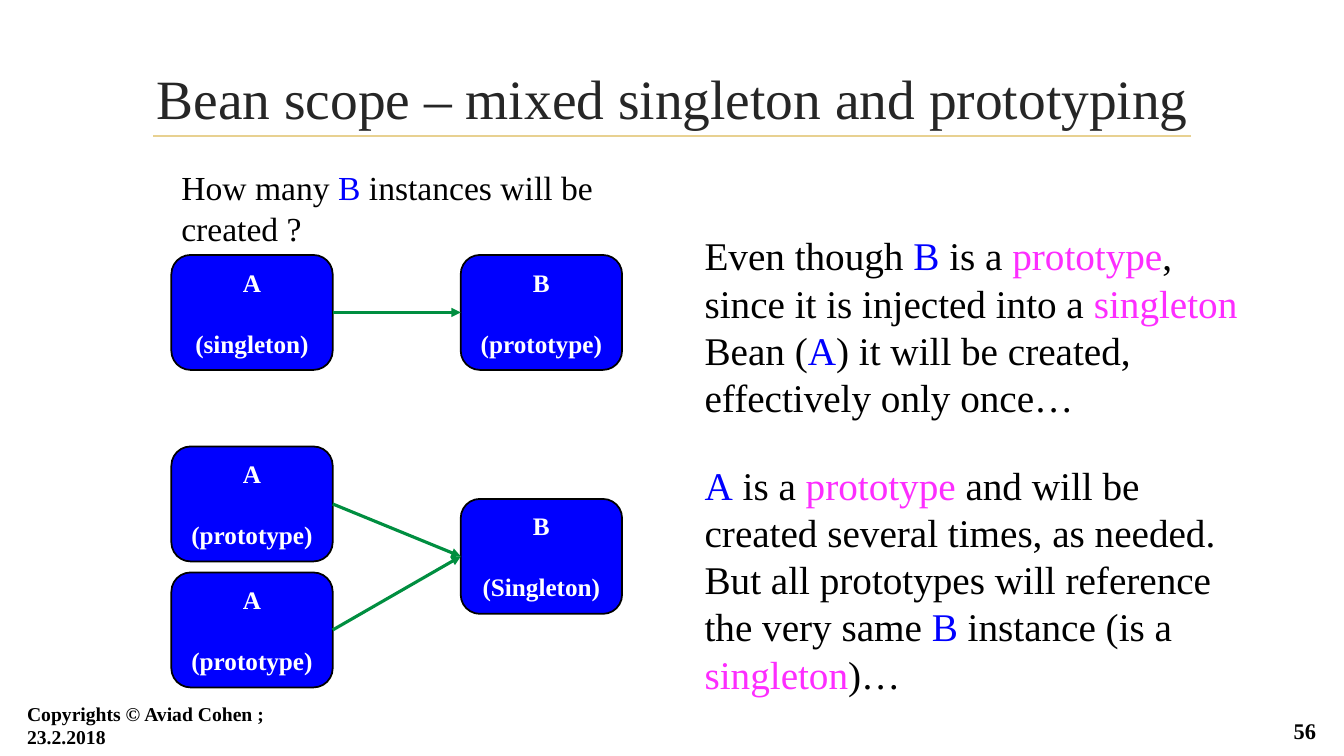
from lxml import etree
from pptx import Presentation
from pptx.dml.color import RGBColor
from pptx.enum.shapes import MSO_CONNECTOR, MSO_SHAPE
from pptx.enum.text import MSO_ANCHOR, MSO_AUTO_SIZE, PP_ALIGN
from pptx.oxml.ns import qn
from pptx.util import Inches, Pt

BLACK = RGBColor(0x00, 0x00, 0x00)
WHITE = RGBColor(0xFF, 0xFF, 0xFF)
BLUE = RGBColor(0x00, 0x00, 0xFF)
PINK = RGBColor(0xFD, 0x2D, 0xFF)
GREEN = RGBColor(0x00, 0x8E, 0x40)
GOLD = RGBColor(0xE8, 0xD1, 0x91)
CHARCOAL = RGBColor(0x26, 0x26, 0x26)
FONT = "Times New Roman"

# Content
TITLE = "Bean scope – mixed singleton and prototyping"
FOOTER = "Copyrights © Aviad Cohen ; 23.2.2018"
PAGE_NUMBER = "56"

# Words shown in colour inside the passages
TERM_COLORS = {"A": BLUE, "B": BLUE, "prototype": PINK, "singleton": PINK}

# Passages: left, top, width, height, size, pieces of text
PASSAGES = [
    (1.7, 1.61, 5.31, 0.5, 24,
     ["How many ", "B", " instances will be created ?"]),
    (6.89, 2.25, 5.67, 1.99, 28,
     ["Even though ", "B", " is a ", "prototype",
      ", since it is injected into a ", "singleton", " Bean (", "A",
      ") it will be created, effectively only once…"]),
    (6.89, 4.53, 5.55, 1.99, 28,
     ["A", " is a ", "prototype",
      " and will be created several times, as needed. "
      "But all prototypes will reference the very same ",
      "B", " instance (is a ", "singleton", ")…"]),
]

# Beans: key -> name, scope, top
BEANS = {
    "single A": ("A", "(singleton)", 2.53),
    "prototype B": ("B", "(prototype)", 2.53),
    "first A": ("A", "(prototype)", 4.43),
    "second A": ("A", "(prototype)", 5.68),
    "shared B": ("B", "(Singleton)", 4.95),
}
BEAN_LEFT = {"A": 1.7, "B": 4.57}
BEAN_WIDTH, BEAN_HEIGHT = 1.6, 1.14
INJECTIONS = [("single A", "prototype B"), ("first A", "shared B"),
              ("second A", "shared B")]
LEFT_SITE, RIGHT_SITE = 1, 3


def set_font(target, size, color, bold=False):
    target.font.name = FONT
    target.font.size = Pt(size)
    target.font.bold = bold
    target.font.color.rgb = color


def add_text_frame(slide, left, top, width, height):
    box = slide.shapes.add_textbox(
        Inches(left), Inches(top), Inches(width), Inches(height))
    box.text_frame.word_wrap = True
    return box.text_frame


def add_line(slide, start, end, color, width):
    line = slide.shapes.add_connector(
        MSO_CONNECTOR.STRAIGHT, Inches(start[0]), Inches(start[1]),
        Inches(end[0]), Inches(end[1]))
    line.line.color.rgb = color
    line.line.width = Pt(width)
    etree.SubElement(line._element.spPr, qn("a:effectLst"))
    return line


def add_title(slide):
    add_line(slide, (1.52, 1.35), (11.81, 1.35), GOLD, 1.25)
    title = slide.shapes.title
    title.left, title.top = Inches(1.42), Inches(0.68)
    title.width, title.height = Inches(10.5), Inches(0.57)
    frame = title.text_frame
    frame.text = TITLE
    frame.auto_size = MSO_AUTO_SIZE.NONE
    frame.vertical_anchor = MSO_ANCHOR.MIDDLE
    frame.margin_left = frame.margin_right = 0
    frame.paragraphs[0].alignment = PP_ALIGN.CENTER
    set_font(frame.paragraphs[0], 39.6, CHARCOAL)


def add_passage(slide, left, top, width, height, size, pieces):
    paragraph = add_text_frame(slide, left, top, width, height).paragraphs[0]
    paragraph.font.name = FONT
    paragraph.font.size = Pt(size)
    for piece in pieces:
        run = paragraph.add_run()
        run.text = piece
        run.font.color.rgb = TERM_COLORS.get(piece, BLACK)


def add_bean(slide, name, scope, top):
    bean = slide.shapes.add_shape(
        MSO_SHAPE.ROUNDED_RECTANGLE, Inches(BEAN_LEFT[name]), Inches(top),
        Inches(BEAN_WIDTH), Inches(BEAN_HEIGHT))
    bean.shadow.inherit = False
    bean.fill.solid()
    bean.fill.fore_color.rgb = BLUE
    bean.line.color.rgb = BLACK
    bean.line.width = Pt(1.25)
    frame = bean.text_frame
    frame.vertical_anchor = MSO_ANCHOR.MIDDLE
    frame.text = f"{name}\n{scope}"
    for paragraph in frame.paragraphs:
        paragraph.alignment = PP_ALIGN.CENTER
        set_font(paragraph, 18, WHITE, bold=True)
    frame.paragraphs[1].space_before = Pt(22)
    return bean


def add_injection(slide, owner, dependency):
    arrow = add_line(slide, (0, 0), (1, 1), GREEN, 2.25)
    arrow.begin_connect(owner, RIGHT_SITE)
    arrow.end_connect(dependency, LEFT_SITE)
    etree.SubElement(arrow.line._get_or_add_ln(), qn("a:tailEnd"),
                     type="triangle")


def add_footer(slide, text, left, top, width, size, alignment):
    frame = add_text_frame(slide, left, top, width, 0.31)
    frame.vertical_anchor = MSO_ANCHOR.MIDDLE
    frame.text = text
    frame.paragraphs[0].alignment = alignment
    set_font(frame.paragraphs[0], size, BLACK, bold=True)


def main():
    deck = Presentation()
    deck.slide_width, deck.slide_height = Inches(13.33), Inches(7.5)
    slide = deck.slides.add_slide(deck.slide_layouts.get_by_name("Title Only"))

    # Title and explanations
    add_title(slide)
    for passage in PASSAGES:
        add_passage(slide, *passage)

    # Bean diagram
    beans = {key: add_bean(slide, *bean) for key, bean in BEANS.items()}
    for owner, dependency in INJECTIONS:
        add_injection(slide, beans[owner], beans[dependency])

    # Footer
    add_footer(slide, FOOTER, 0.17, 7.04, 3.35, 14, PP_ALIGN.LEFT)
    add_footer(slide, PAGE_NUMBER, 12.56, 7.09, 0.59, 16, PP_ALIGN.RIGHT)
    deck.save("out.pptx")


if __name__ == "__main__":
    main()
